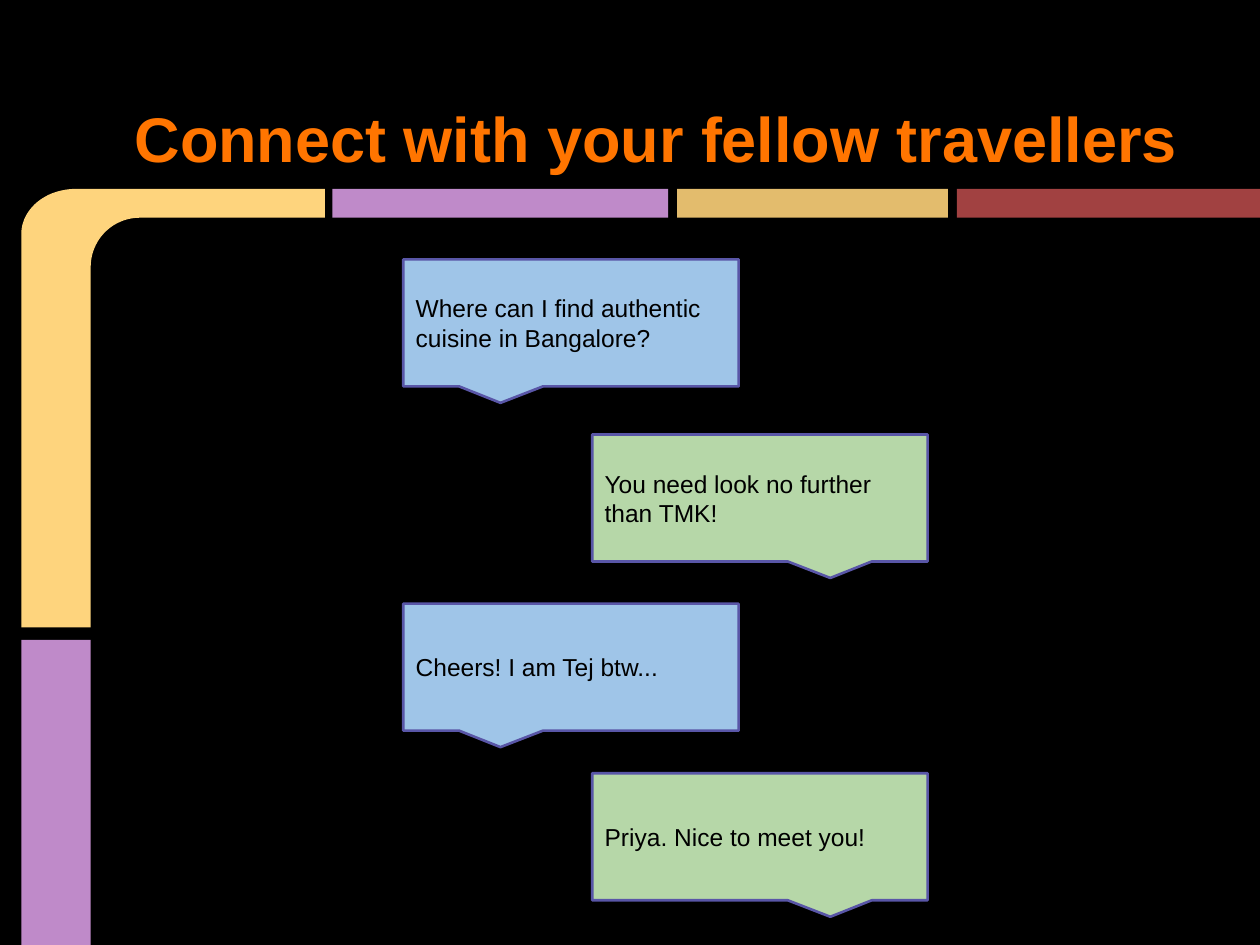
from math import cos, pi, sin

from pptx import Presentation
from pptx.dml.color import RGBColor
from pptx.enum.shapes import MSO_SHAPE
from pptx.enum.text import MSO_ANCHOR, PP_ALIGN
from pptx.util import Cm, Pt

COLORS = {
    "background": "000000",
    "title": "FF7500",
    "yellow": "FED47D",
    "purple": "BF8AC9",
    "sand": "E3BC6D",
    "red": "A14141",
    "question": "9FC5E8",
    "answer": "B6D7A8",
    "outline": "5956A7",
    "message": "000000",
}
FONT = "Arial"
SLIDE_W, SLIDE_H = 25.4, 19.05
BAND_TOP, BAND_H = 3.81, 0.58
SIDE_LEFT, SIDE_W = 0.43, 1.4


def rgb(name):
    return RGBColor.from_string(COLORS[name])


def paint(shape, fill, outline=None):
    shape.shadow.inherit = False
    shape.fill.solid()
    shape.fill.fore_color.rgb = rgb(fill)
    if outline:
        shape.line.color.rgb = rgb(outline)
        shape.line.width = Pt(1.5)
    else:
        shape.line.fill.background()


def write(shape, words, size, color, anchor, align, bold=False):
    frame = shape.text_frame
    frame.word_wrap = True
    frame.vertical_anchor = anchor
    frame.margin_left = frame.margin_right = Cm(0.25)
    frame.margin_top = frame.margin_bottom = Cm(0.25)
    paragraph = frame.paragraphs[0]
    paragraph.alignment = align
    run = paragraph.add_run()
    run.text = words
    run.font.name = FONT
    run.font.size = Pt(size)
    run.font.bold = bold
    run.font.color.rgb = rgb(color)


def arc(center_x, center_y, radius_x, radius_y, steps=24):
    """Points of a top-left quarter ellipse, from its left end to its top."""
    angles = [pi / 2 * step / steps for step in range(steps + 1)]
    return [(center_x - radius_x * cos(a), center_y - radius_y * sin(a))
            for a in angles]


def add_corner(slide, left, top, width, height):
    """Rounded band that turns from the side into the top."""
    outer = arc(1.09, 0.91, 1.09, 0.91)
    inner = arc(SIDE_W + 0.99, BAND_H + 0.99, 0.99, 0.99)
    outline = ([(0, height)] + outer + [(width, 0), (width, BAND_H)]
               + inner[::-1] + [(SIDE_W, height)])
    points = [(Cm(left + x), Cm(top + y)) for x, y in outline]
    builder = slide.shapes.build_freeform(*points[0])
    builder.add_line_segments(points[1:], close=True)
    paint(builder.convert_to_shape(), "yellow")


def add_bar(slide, left, top, width, height, color):
    bar = slide.shapes.add_shape(
        MSO_SHAPE.RECTANGLE, Cm(left), Cm(top), Cm(width), Cm(height))
    paint(bar, color)


def add_frame(slide, left, top, width, height):
    """Coloured bands along the left side and the top of the box."""
    add_corner(slide, left, top, 6.12, 8.84)
    add_bar(slide, left, top + 9.09, SIDE_W, height - 9.09, "purple")
    for offset, bar_w, color in [(6.27, 6.77, "purple"),
                                 (13.22, 5.46, "sand"),
                                 (18.86, width - 18.86, "red")]:
        add_bar(slide, left + offset, top, bar_w, BAND_H, color)


def add_title(slide, left, top, width, height):
    title = slide.shapes.add_textbox(Cm(left), Cm(top), Cm(width), Cm(height))
    write(title, "Connect with your fellow travellers", 36, "title",
          MSO_ANCHOR.BOTTOM, PP_ALIGN.CENTER, bold=True)


def add_message(slide, left, top, width, height, words, is_answer):
    bubble = slide.shapes.add_shape(
        MSO_SHAPE.ROUNDED_RECTANGULAR_CALLOUT,
        Cm(left), Cm(top), Cm(width), Cm(height))
    # The pointer sits left of centre for a question, right for an answer
    bubble.adjustments[0] = 0.21 if is_answer else -0.21
    bubble.adjustments[1] = 0.63
    bubble.adjustments[2] = 0
    paint(bubble, "answer" if is_answer else "question", "outline")
    write(bubble, words, 14, "message", MSO_ANCHOR.MIDDLE, PP_ALIGN.LEFT)


def add_chat(slide, left, top, width):
    """Questions on the left of the box, answers on its right."""
    bubble_w, bubble_h = 6.76, 2.56
    chat = [
        (0, "Where can I find authentic cuisine in Bangalore?"),
        (3.53, "You need look no further than TMK!"),
        (6.94, "Cheers! I am Tej btw..."),
        (10.36, "Priya. Nice to meet you!"),
    ]
    for index, (offset, words) in enumerate(chat):
        is_answer = index % 2 == 1
        shift = width - bubble_w if is_answer else 0
        add_message(slide, left + shift, top + offset, bubble_w, bubble_h,
                    words, is_answer)


def main():
    deck = Presentation()
    deck.slide_width, deck.slide_height = Cm(SLIDE_W), Cm(SLIDE_H)
    slide = deck.slides.add_slide(deck.slide_layouts[6])
    slide.background.fill.solid()
    slide.background.fill.fore_color.rgb = rgb("background")

    add_frame(slide, SIDE_LEFT, BAND_TOP,
              SLIDE_W - SIDE_LEFT, SLIDE_H - BAND_TOP)
    add_title(slide, 2.36, 0.61, 21.74, 3.18)
    add_chat(slide, 8.13, 5.23, 10.57)
    deck.save("out.pptx")


if __name__ == "__main__":
    main()
